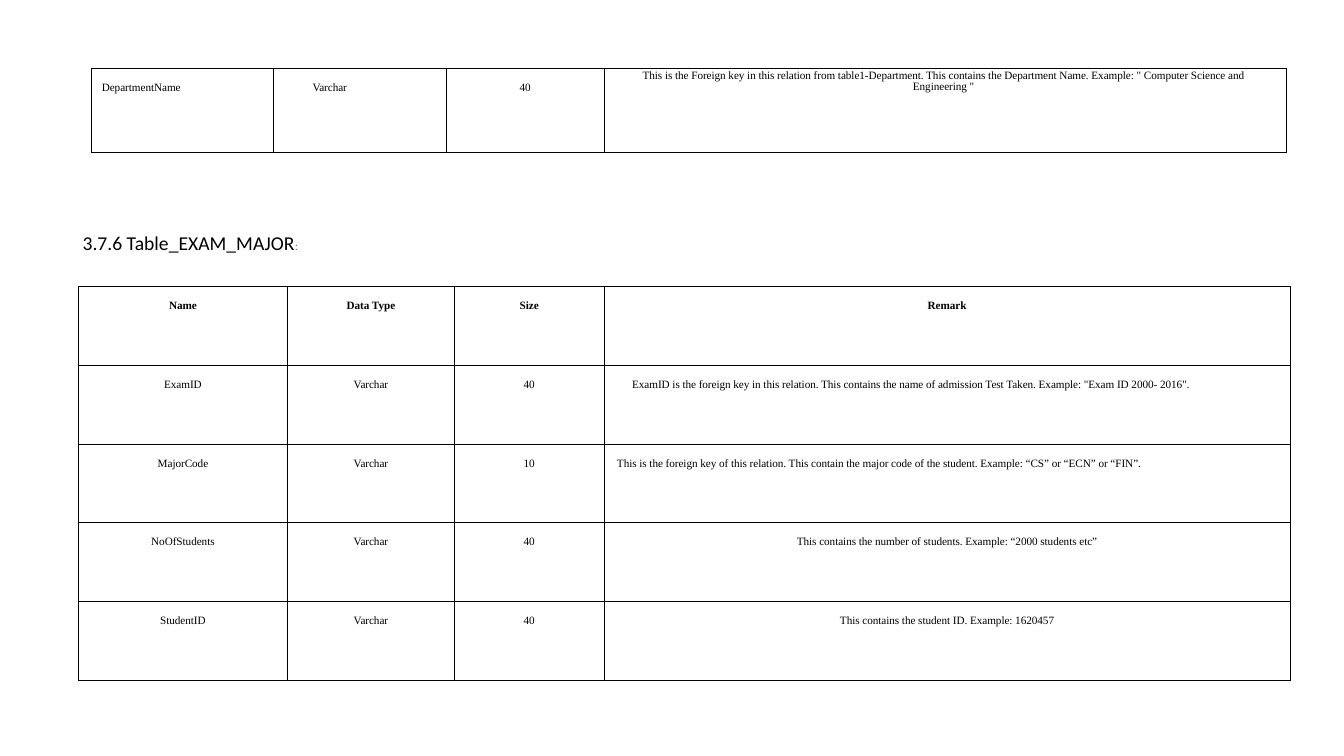
from lxml.etree import SubElement
from pptx import Presentation
from pptx.dml.color import RGBColor
from pptx.enum.text import MSO_AUTO_SIZE, PP_ALIGN
from pptx.oxml.ns import qn
from pptx.util import Inches, Pt

BLACK = RGBColor(0x00, 0x00, 0x00)
BLUE = RGBColor(0x00, 0x6F, 0xC0)

DEPARTMENT_ROWS = [
    ("DepartmentName", "Varchar", "40",
     "This is the Foreign key in this relation from table1-Department. This contains "
     "the Department Name. Example: \" Computer Science and Engineering \""),
]
EXAM_MAJOR_ROWS = [
    ("Name", "Data Type", "Size", "Remark"),
    ("ExamID", "Varchar", "40",
     "ExamID is the foreign key in this relation. This contains the name of "
     "admission Test Taken. Example: \"Exam ID 2000- 2016\"."),
    ("MajorCode", "Varchar", "10",
     "This is the foreign key of this relation. This contain the major code of the "
     "student. Example: “CS” or “ECN” or “FIN”."),
    ("NoOfStudents", "Varchar", "40",
     "This contains the number of students. Example: “2000 students etc”"),
    ("StudentID", "Varchar", "40",
     "This contains the student ID. Example: 1620457"),
]


class SchemaSlide:
    """Draws data dictionary tables and headings on one slide."""

    table_font = "Times New Roman"
    heading_font = "Calibri"
    table_size = Pt(8)
    heading_size = Pt(14)
    colon_size = Pt(8.2)
    border_width = Pt(0.5)
    cell_top = 0.13
    letter_spacing = "-5"

    def __init__(self, presentation):
        self.slide = presentation.slides.add_slide(presentation.slide_layouts[6])

    def heading(self, text, left, top, width, height):
        shape = self.slide.shapes.add_textbox(
            Inches(left), Inches(top), Inches(width), Inches(height))
        frame = shape.text_frame
        frame.word_wrap = True
        frame.auto_size = MSO_AUTO_SIZE.SHAPE_TO_FIT_TEXT
        frame.margin_left = frame.margin_top = Inches(0.01)
        frame.margin_right = frame.margin_bottom = 0
        paragraph = frame.paragraphs[0]
        for content, name, size, color in (
                (text, self.heading_font, self.heading_size, BLACK),
                (":", self.table_font, self.colon_size, BLUE)):
            run = paragraph.add_run()
            run.text = content
            run.font.name = name
            run.font.size = size
            run.font.color.rgb = color

    def table(self, rows, left, top, height, widths, header=False):
        shape = self.slide.shapes.add_table(
            len(rows), len(widths), Inches(left), Inches(top),
            Inches(sum(widths)), Inches(height))
        table = shape.table
        table.first_row = header
        table.horz_banding = False
        for column, width in zip(table.columns, widths):
            column.width = Inches(width)
        for row_index, row in enumerate(rows):
            for column_index, text in enumerate(row):
                self.cell(table.cell(row_index, column_index), text,
                          header and row_index == 0)
        return table

    def cell(self, cell, text, bold):
        self.place(cell)
        self.border(cell)
        cell.fill.background()
        paragraph = cell.text_frame.paragraphs[0]
        run = paragraph.add_run()
        run.text = text
        run.font._element.set("spc", self.letter_spacing)
        paragraph.alignment = PP_ALIGN.CENTER
        paragraph.font.name = self.table_font
        paragraph.font.size = self.table_size
        paragraph.font.color.rgb = BLACK
        paragraph.font.bold = bold

    def place(self, cell, top=cell_top, left=0, right=0,
              alignment=PP_ALIGN.CENTER, line_spacing=None):
        cell.margin_top = Inches(top)
        cell.margin_left = Inches(left)
        cell.margin_right = Inches(right)
        cell.margin_bottom = 0
        paragraph = cell.text_frame.paragraphs[0]
        paragraph.alignment = alignment
        paragraph.line_spacing = line_spacing

    def border(self, cell):
        properties = cell._tc.get_or_add_tcPr()
        for side in ("a:lnL", "a:lnR", "a:lnT", "a:lnB"):
            line = SubElement(properties, qn(side), w=str(self.border_width))
            fill = SubElement(line, qn("a:solidFill"))
            SubElement(fill, qn("a:srgbClr"), val=str(BLACK))


def main():
    presentation = Presentation()
    presentation.slide_width = Inches(13.33)
    presentation.slide_height = Inches(7.5)
    schema = SchemaSlide(presentation)

    department = schema.table(
        DEPARTMENT_ROWS, 0.91, 0.68, 0.83, (1.8, 1.72, 1.56, 6.77))
    schema.place(department.cell(0, 0), left=0.1, alignment=PP_ALIGN.LEFT)
    schema.place(department.cell(0, 1), left=0.39, alignment=PP_ALIGN.LEFT)
    schema.place(department.cell(0, 3), top=0.01, left=0.3, right=0.33,
                 line_spacing=0.96)

    schema.heading("3.7.6 Table_EXAM_MAJOR", 0.81, 2.28, 2.56, 0.25)

    exam_major = schema.table(
        EXAM_MAJOR_ROWS, 0.78, 2.84, 3.91, (2.07, 1.66, 1.48, 6.81), header=True)
    for row_index, indent in ((1, 0.28), (2, 0.13)):
        schema.place(exam_major.cell(row_index, 3), top=0.07, left=indent,
                     alignment=PP_ALIGN.LEFT, line_spacing=Pt(13.7))

    presentation.save("out.pptx")


if __name__ == "__main__":
    main()
